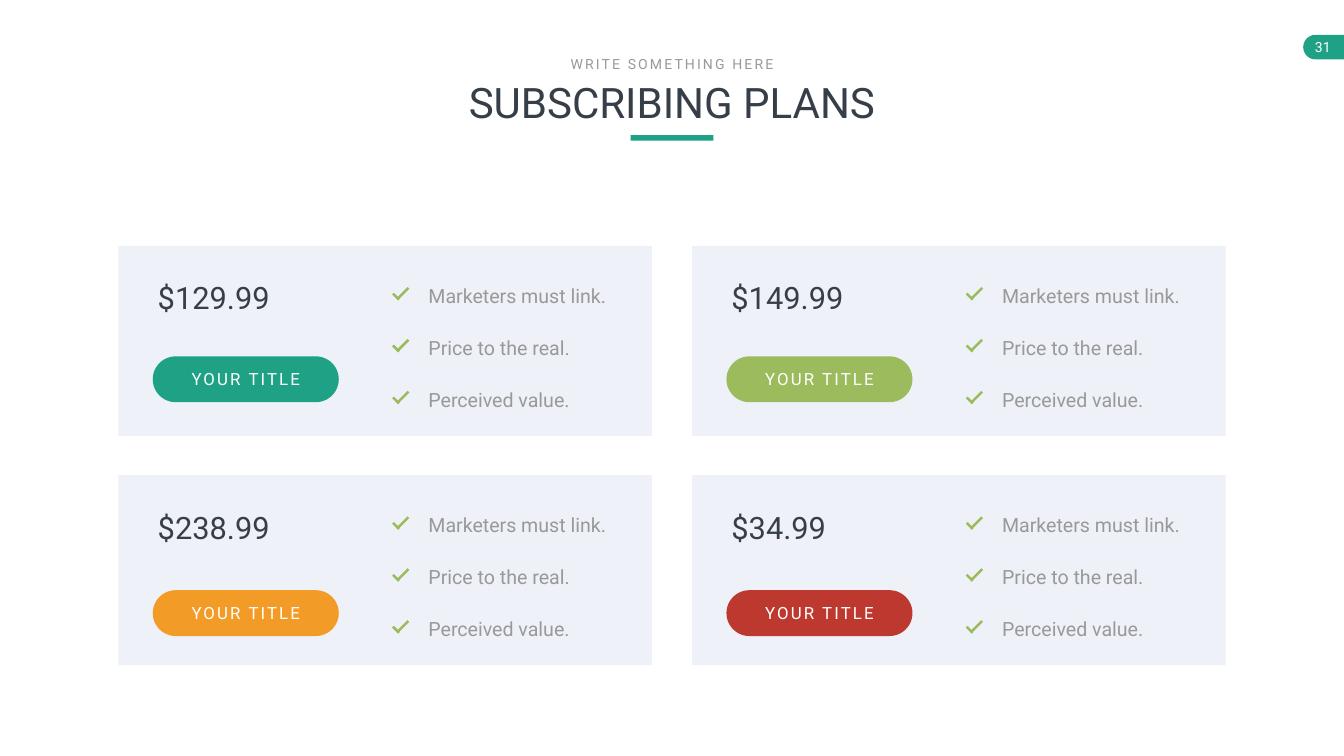
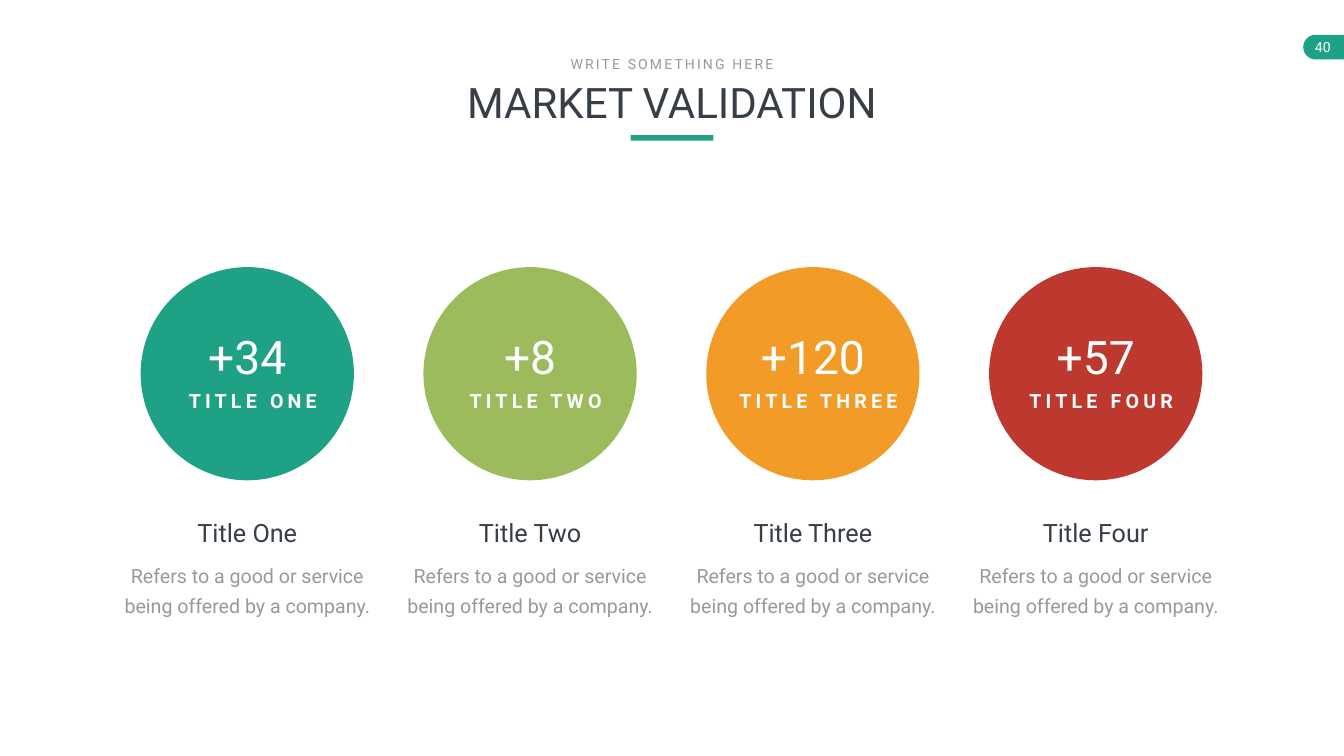
"""Build the subscribing plans and market validation slides."""
from dataclasses import dataclass
from typing import NamedTuple

from pptx import Presentation
from pptx import util as u
from pptx.dml.color import RGBColor
from pptx.enum import shapes, text

KIND = shapes.MSO_SHAPE
ALIGN = text.PP_ALIGN
ANCHOR = text.MSO_ANCHOR


class Style(NamedTuple):
    """Type size in points with colour, weight, tracking and leading."""
    size: float
    color: str
    bold: bool = False
    tracking: int = 0
    leading: float = 0


class Box(NamedTuple):
    """Area in inches."""
    left: float
    top: float
    width: float
    height: float

    def inside(self, left, top, width, height):
        """Return an area placed relative to this one."""
        return Box(self.left + left, self.top + top, width, height)

    def centred(self, top, width, height, shift=0):
        """Return an area centred across this one."""
        return self.inside((self.width - width) / 2 + shift, top, width, height)

    def emu(self):
        """Return the four lengths for python-pptx."""
        return [u.Inches(length) for length in self]


@dataclass(frozen=True)
class Theme:
    """Colours and type styles of the deck."""
    font: str = "Roboto"
    green: str = "1EA185"
    lime: str = "9BBB5C"
    orange: str = "F29B26"
    red: str = "BD392F"
    card: str = "EFF1F8"
    title: Style = Style(60, "363E48")
    kicker: Style = Style(20, "999999", tracking=3)
    page: Style = Style(20, "FFFFFF")
    price: Style = Style(44, "363E48")
    button: Style = Style(24, "FFFFFF", tracking=3)
    feature: Style = Style(28, "999999", leading=40.8)
    number: Style = Style(66, "FFFFFF")
    label: Style = Style(28, "FFFFFF", bold=True, tracking=6)
    heading: Style = Style(36, "363E48")
    body: Style = Style(28, "999999", leading=43)

    @property
    def accents(self):
        """Return the accent colours in order of use."""
        return self.green, self.lime, self.orange, self.red


THEME = Theme()
PAGE = Box(0, 0, 26.66, 15)
FEATURES = ("Marketers must link.", "Price to the real.", "Perceived value.")
PRICES = ("$129.99", "$149.99", "$238.99", "$34.99")
CARD_ROWS = ((4.88, 2.19), (9.43, 2.28))
METRICS = (("+34", "Title One"), ("+8", "Title Two"),
           ("+120", "Title Three"), ("+57", "Title Four"))
METRIC_BODY = "Refers to a good or service being offered by a company."


def apply(target, values):
    """Set each attribute in values on target."""
    for name, value in values.items():
        setattr(target, name, value)


def write(shape, content, style, align=ALIGN.CENTER, **frame_format):
    """Write one styled paragraph into a shape."""
    frame = shape.text_frame
    apply(frame, {"word_wrap": True, **frame_format})
    paragraph = frame.paragraphs[0]
    paragraph.alignment = align
    if style.leading:
        paragraph.line_spacing = u.Pt(style.leading)
    run = paragraph.add_run()
    run.text = content
    apply(run.font, {"name": THEME.font, "size": u.Pt(style.size), "bold": style.bold})
    run.font.color.rgb = RGBColor.from_string(style.color)
    if style.tracking:
        run._r.get_or_add_rPr().set("spc", str(style.tracking * 100))


def add_text(slide, box, content, style, align=ALIGN.CENTER, **frame_format):
    """Add a text box."""
    write(slide.shapes.add_textbox(*box.emu()), content, style, align, **frame_format)


def add_block(slide, box, color, kind=KIND.RECTANGLE, rotation=0):
    """Add a plain filled shape."""
    shape = slide.shapes.add_shape(kind, *box.emu())
    shape.shadow.inherit = False
    shape.fill.solid()
    shape.fill.fore_color.rgb = RGBColor.from_string(color)
    shape.line.fill.background()
    shape.rotation = rotation
    return shape


def add_page_badge(slide, box, number):
    """Add the page number tab."""
    add_block(slide, box.inside(0, 0, 0.49, 0.49), THEME.green, KIND.FLOWCHART_DELAY, 180)
    add_block(slide, box.inside(0.49, 0, 0.32, 0.49), THEME.green)
    add_text(slide, box.inside(0.02, -0.02, 0.74, 0.54), number, THEME.page,
             word_wrap=False, margin_left=u.Inches(0.2), margin_right=u.Inches(0.2),
             margin_top=u.Inches(0.1), margin_bottom=u.Inches(0.1))


def add_header(slide, box, title):
    """Add the kicker, title and underline."""
    add_block(slide, box.centred(1.63, 1.64, 0.11), THEME.green)
    add_text(slide, box.centred(0.42, 9.9, 1.11), title, THEME.title)
    add_text(slide, box.centred(0, 4.35, 0.44), "WRITE SOMETHING HERE", THEME.kicker,
             word_wrap=False)


def add_feature(slide, box, content):
    """Add a tick and its feature text."""
    add_text(slide, box.inside(0.63, 0, 3.84, 0.63), content, THEME.feature, ALIGN.LEFT)
    add_block(slide, box.inside(0, 0.38, 0.17, 0.05), THEME.lime, rotation=45)
    add_block(slide, box.inside(0.06, 0.32, 0.32, 0.05), THEME.lime, rotation=315)


def add_plan(slide, box, price, color, button_top):
    """Add a plan card with price, button and features."""
    add_block(slide, box, THEME.card)
    add_text(slide, box.inside(0.68, 0.61, 0.35 * len(price), 0.84), price, THEME.price,
             ALIGN.LEFT, word_wrap=False)
    button = add_block(slide, box.inside(0.68, button_top, 3.69, 0.91), color,
                       KIND.ROUNDED_RECTANGLE)
    button.adjustments[0] = 0.5
    write(button, "YOUR TITLE", THEME.button, vertical_anchor=ANCHOR.MIDDLE)
    for row, feature in enumerate(FEATURES):
        add_feature(slide, box.inside(5.42, 0.6 + 1.03 * row, 4.47, 0.63), feature)


def add_metric(slide, box, number, title, color):
    """Add a metric circle with its caption."""
    add_block(slide, box.inside(0, 0, box.width, box.width), color, KIND.OVAL)
    add_text(slide, box.centred(2.37, 0.04 + 0.32 * len(title), 0.57, shift=0.11),
             title.upper(), THEME.label, word_wrap=False)
    add_text(slide, box.centred(1.16, 0.21 + 0.52 * len(number), 1.21), number,
             THEME.number, word_wrap=False)
    add_text(slide, box.centred(5.63, 5.5, 1.39), METRIC_BODY, THEME.body,
             margin_left=u.Inches(0.24), margin_right=u.Inches(0.24),
             margin_top=u.Inches(0.12), margin_bottom=u.Inches(0.12))
    add_text(slide, box.centred(4.92, 5.02, 0.71), title, THEME.heading)


def add_base_slide(presentation, title, number):
    """Add a blank slide with badge and header."""
    slide = presentation.slides.add_slide(presentation.slide_layouts[6])
    add_page_badge(slide, PAGE.inside(25.85, 0.69, 0.81, 0.49), number)
    add_header(slide, PAGE.centred(1.05, 9.9, 1.74), title)
    return slide


def build_plans(presentation):
    """Build the grid of plan cards."""
    slide = add_base_slide(presentation, "SUBSCRIBING PLANS", "31")
    for index, (price, color) in enumerate(zip(PRICES, THEME.accents)):
        row, column = divmod(index, 2)
        top, button_top = CARD_ROWS[row]
        card = PAGE.inside(2.35 + 11.38 * column, top, 10.58, 3.77)
        add_plan(slide, card, price, color, button_top)


def build_metrics(presentation):
    """Build the row of metric circles."""
    slide = add_base_slide(presentation, "MARKET VALIDATION", "40")
    for column, ((number, title), color) in enumerate(zip(METRICS, THEME.accents)):
        box = PAGE.inside(2.79 + 5.61 * column, 5.3, 4.23, 7.02)
        add_metric(slide, box, number, title, color)


def main():
    """Build and save the presentation."""
    presentation = Presentation()
    apply(presentation, {"slide_width": u.Inches(PAGE.width),
                         "slide_height": u.Inches(PAGE.height)})
    build_plans(presentation)
    build_metrics(presentation)
    presentation.save("out.pptx")


if __name__ == "__main__":
    main()
